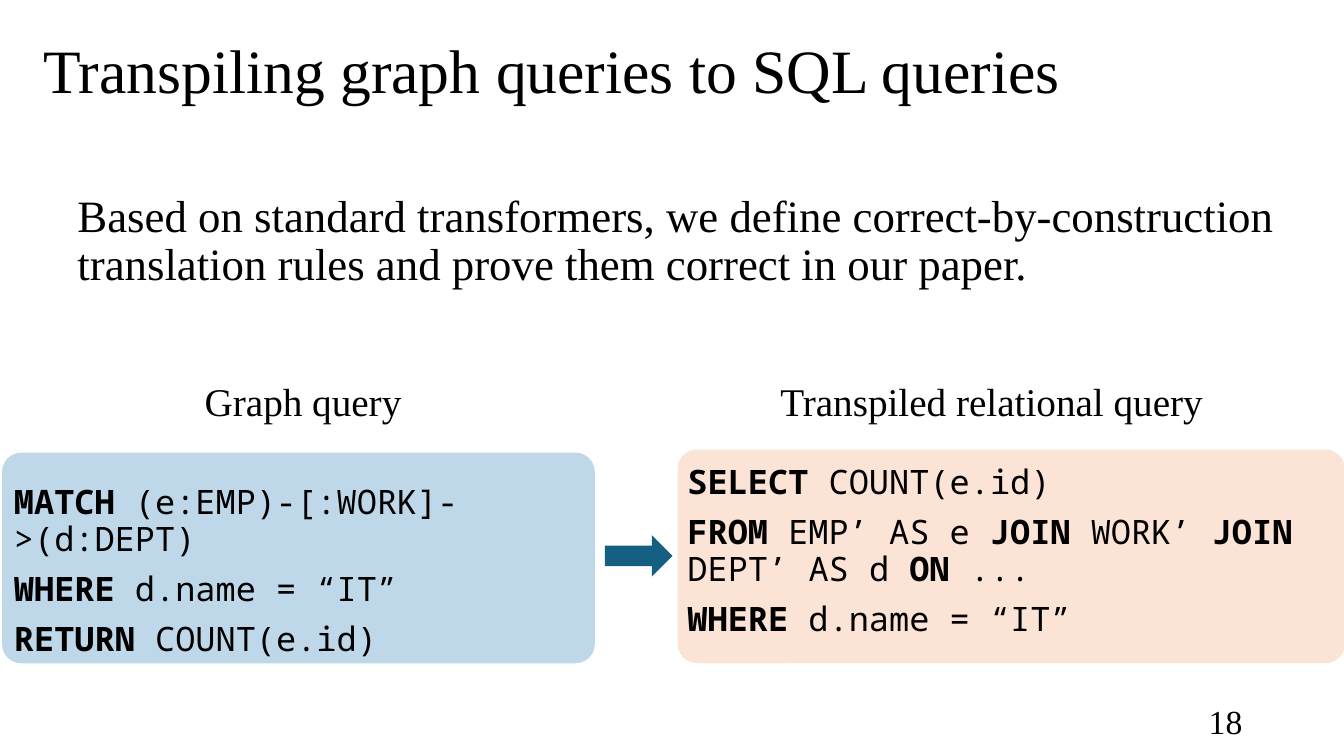
from lxml.etree import SubElement
from pptx import Presentation
from pptx.dml.color import RGBColor
from pptx.enum.shapes import MSO_SHAPE
from pptx.enum.text import MSO_ANCHOR, PP_ALIGN
from pptx.oxml.ns import qn
from pptx.util import Inches, Pt

BLACK = RGBColor(0x00, 0x00, 0x00)
GRAPH_BLUE = RGBColor(0x80, 0xB2, 0xD4)
SQL_PEACH = RGBColor(0xFB, 0xE3, 0xD6)
ARROW_TEAL = RGBColor(0x15, 0x60, 0x82)
SERIF = "Times New Roman"
MONO = "Noto Sans Mono"

GRAPH_QUERY = [
    "|MATCH| (e:EMP)-[:WORK]->(d:DEPT)",
    "|WHERE |d.name = “IT”",
    "|RETURN| COUNT(e.id)",
]
SQL_QUERY = [
    "|SELECT| COUNT(e.id)",
    "|FROM |EMP’ AS e |JOIN| WORK’ |JOIN| DEPT’ AS d |ON |...",
    "|WHERE |d.name = “IT”",
]


def add_text(slide, box, lines, size, name=SERIF, align=PP_ALIGN.LEFT,
             anchor=MSO_ANCHOR.TOP, spacing=0.9):
    """Place lines of text in a box, with the parts between bars in bold."""
    frame = slide.shapes.add_textbox(*map(Inches, box)).text_frame
    frame.word_wrap = True
    frame.vertical_anchor = anchor
    for index, line in enumerate(lines):
        paragraph = frame.paragraphs[0] if index == 0 else frame.add_paragraph()
        paragraph_format = {
            "alignment": align,
            "line_spacing": spacing,
            "space_before": Pt(10 if index else 0),
        }
        for attribute, value in paragraph_format.items():
            setattr(paragraph, attribute, value)
        for position, part in enumerate(line.split("|")):
            if not part:
                continue
            run = paragraph.add_run()
            run.text = part
            run.font.color.rgb = BLACK
            font_format = {"name": name, "size": Pt(size), "bold": position % 2 == 1}
            for attribute, value in font_format.items():
                setattr(run.font, attribute, value)


def add_filled_shape(slide, kind, box, color):
    """Add a preset shape with a plain fill and no outline."""
    shape = slide.shapes.add_shape(kind, *map(Inches, box))
    shape.shadow.inherit = False
    shape.fill.solid()
    shape.fill.fore_color.rgb = color
    shape.line.fill.background()
    return shape


def add_query_panel(slide, box, color, lines, text_offset, text_width, opacity=100):
    """Add a rounded panel holding the code of a query."""
    left, top, width, height = box
    across, down = text_offset
    panel = add_filled_shape(slide, MSO_SHAPE.ROUNDED_RECTANGLE, box, color)
    panel.adjustments[0] = 0.092
    if opacity < 100:
        color_element = next(panel.fill._xPr.iter(qn("a:srgbClr")))
        SubElement(color_element, qn("a:alpha"), val=str(opacity * 1000))
    text_box = (left + across, top + down, text_width, height - down)
    add_text(slide, text_box, lines, 24, name=MONO)


def add_heading(slide, box):
    """Add the title with the statement below it."""
    left, top, width, height = box
    add_text(slide, box, ["Transpiling graph queries to SQL queries"], 44,
             anchor=MSO_ANCHOR.MIDDLE)
    statement = ("Based on standard transformers, we define correct-by-construction "
                 "translation rules and prove them correct in our paper.")
    add_text(slide, (left + 0.34, top + 1.87, 12.11, 1.42), [statement], 32)


def add_comparison(slide, box):
    """Add the two labelled queries with an arrow between them."""
    left, top, width, height = box
    bottom = top + height
    add_text(slide, (left + 0.62, top, 4.73, 0.71), ["Graph query"], 28,
             align=PP_ALIGN.CENTER)
    add_text(slide, (left + 7.15, top, 5.33, 0.71), ["Transpiled relational query"], 28,
             align=PP_ALIGN.CENTER)
    add_query_panel(slide, (left + width - 6.62, bottom - 2.12, 6.62, 2.12),
                    SQL_PEACH, SQL_QUERY, (0, 0.11), 6.62)
    add_query_panel(slide, (left, bottom - 2.09, 5.88, 2.09),
                    GRAPH_BLUE, GRAPH_QUERY, (0.02, 0.28), 6, opacity=50)
    add_filled_shape(slide, MSO_SHAPE.RIGHT_ARROW,
                     (left + 5.98, top + 1.56, 0.67, 0.41), ARROW_TEAL)


def main():
    """Build the slide and save it."""
    presentation = Presentation()
    presentation.slide_width = Inches(13.33)
    presentation.slide_height = Inches(7.5)
    slide = presentation.slides.add_slide(presentation.slide_layouts[6])
    add_heading(slide, (0.33, 0, 12.35, 1.45))
    add_comparison(slide, (0.02, 3.75, 13.32, 2.83))
    add_text(slide, (9.42, 6.95, 3, 0.4), ["18"], 24, align=PP_ALIGN.RIGHT,
             anchor=MSO_ANCHOR.MIDDLE, spacing=1.0)
    presentation.save("out.pptx")


if __name__ == "__main__":
    main()
